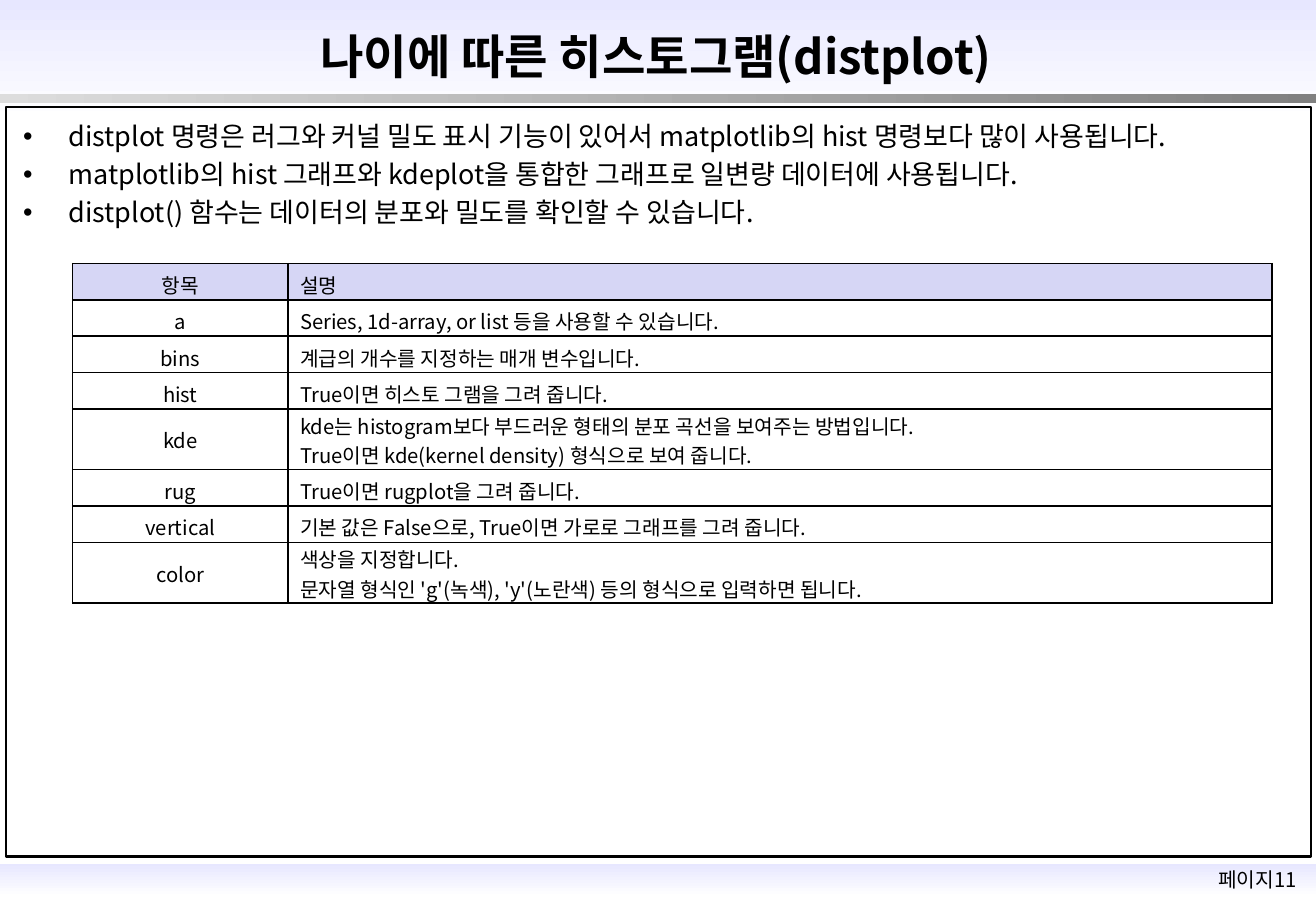
from lxml import etree
from pptx import Presentation
from pptx.dml.color import RGBColor
from pptx.enum import shapes, text
from pptx.oxml.ns import qn
from pptx.util import Cm, Pt

FONT = "Noto Sans CJK KR"
BLACK = RGBColor(0x00, 0x00, 0x00)
WHITE = RGBColor(0xFF, 0xFF, 0xFF)
LAVENDER = RGBColor(0xE7, 0xE7, 0xFF)
HEADER = RGBColor(0xD6, 0xD6, 0xF5)
DARK_GRAY = RGBColor(0x80, 0x80, 0x80)
LIGHT_GRAY = RGBColor(0xDD, 0xDD, 0xDD)

WIDTH, HEIGHT = 27.51, 19.05
ROW, LINE = 0.76, 0.51
BULLETS = [
    "distplot 명령은 러그와 커널 밀도 표시 기능이 있어서 matplotlib의 hist 명령보다 많이 사용됩니다.",
    "matplotlib의 hist 그래프와 kdeplot을 통합한 그래프로 일변량 데이터에 사용됩니다.",
    "distplot() 함수는 데이터의 분포와 밀도를 확인할 수 있습니다.",
]
PARAMETERS = [
    ("항목", "설명"),
    ("a", "Series, 1d-array, or list 등을 사용할 수 있습니다."),
    ("bins", "계급의 개수를 지정하는 매개 변수입니다."),
    ("hist", "True이면 히스토 그램을 그려 줍니다."),
    ("kde", "kde는 histogram보다 부드러운 형태의 분포 곡선을 보여주는 방법입니다.\n"
            "True이면 kde(kernel density) 형식으로 보여 줍니다."),
    ("rug", "True이면 rugplot을 그려 줍니다."),
    ("vertical", "기본 값은 False으로, True이면 가로로 그래프를 그려 줍니다."),
    ("color", "색상을 지정합니다.\n"
              "문자열 형식인 'g'(녹색), 'y'(노란색) 등의 형식으로 입력하면 됩니다."),
]


def style(p, size, align, bold=False):
    """Set the alignment and font of a paragraph."""
    p.alignment = align
    p.space_before = Pt(0)
    p.font.name, p.font.size, p.font.bold = FONT, Pt(size), bold
    p.font.color.rgb = BLACK
    props = p._p.get_or_add_pPr().find(qn("a:defRPr"))
    etree.SubElement(props, qn("a:ea"), typeface=FONT)


def place(sp, left, top, width, height):
    """Move a shape to a box in centimetres."""
    sp.left, sp.top, sp.width, sp.height = map(Cm, (left, top, width, height))


def add_box(slide, left, top, width, height):
    """Add a rectangle without shadow, fill or line."""
    sp = slide.shapes.add_shape(
        shapes.MSO_SHAPE.RECTANGLE, *map(Cm, (left, top, width, height)))
    sp.shadow.inherit = False
    sp.fill.background()
    sp.line.fill.background()
    return sp


def add_band(slide, box, start, end, angle):
    """Add a rectangle with a two-colour gradient."""
    fill = add_box(slide, *box).fill
    fill.gradient()
    fill.gradient_angle = angle
    for stop, color in zip(fill.gradient_stops, (start, end)):
        stop.color.rgb = color


def build_header(slide, left, top, width, height):
    """Build the title band with its rule and title."""
    add_band(slide, (left, top, width, height), LAVENDER, WHITE, 270)
    add_band(slide, (left, top + 1.96, width, 0.2), LIGHT_GRAY, DARK_GRAY, 0)
    title = slide.shapes.title
    slide.shapes._spTree.append(title._element)
    place(title, left + 3.53, top + 0.43, width - 7.14, 1.47)
    tf = title.text_frame
    tf.text = "나이에 따른 히스토그램(distplot)"
    tf.auto_size = text.MSO_AUTO_SIZE.NONE
    tf.vertical_anchor = text.MSO_ANCHOR.MIDDLE
    style(tf.paragraphs[0], 28, text.PP_ALIGN.CENTER, True)


def build_body(slide, left, top, width, height):
    """Build the framed area with its bullet list."""
    frame = add_box(slide, left, top, width, height)
    frame.line.color.rgb = BLACK
    frame.line.width = Pt(1.5)
    body = slide.placeholders[1]
    slide.shapes._spTree.append(body._element)
    place(body, left + 0.1, top + 0.1, width, 2.59)
    tf = body.text_frame
    tf.text = "\n".join(BULLETS)
    tf.auto_size = text.MSO_AUTO_SIZE.NONE
    tf.vertical_anchor = text.MSO_ANCHOR.TOP
    tf.margin_top = Cm(0.05)
    for p in tf.paragraphs:
        props = p._p.get_or_add_pPr()
        props.set("marL", str(Cm(0.95)))
        props.set("indent", str(-Cm(0.95)))
        etree.SubElement(props, qn("a:buChar"), char="•")
        style(p, 16, text.PP_ALIGN.LEFT)
        p.line_spacing = Pt(22.5)


def add_borders(cell):
    """Draw a thin black line on every side of a cell."""
    props = cell._tc.get_or_add_tcPr()
    for side in "LRTB":
        line = etree.SubElement(props, qn(f"a:ln{side}"), w=str(Pt(1)))
        fill = etree.SubElement(line, qn("a:solidFill"))
        etree.SubElement(fill, qn("a:srgbClr"), val=str(BLACK))


def build_table(slide, left, top, width, height):
    """Build the parameter table, with taller rows for two-line text."""
    table = slide.shapes.add_table(
        len(PARAMETERS), 2, *map(Cm, (left, top, width, height))).table
    table.first_row = table.horz_banding = False
    table.columns[0].width, table.columns[1].width = Cm(4.5), Cm(width - 4.5)
    aligns = (text.PP_ALIGN.CENTER, text.PP_ALIGN.JUSTIFY)
    for i, (row, values) in enumerate(zip(table.rows, PARAMETERS)):
        extra = values[1].count("\n")
        row.height = Cm(ROW + LINE * extra)
        for cell, value, align in zip(row.cells, values, aligns):
            cell.text = value
            cell.vertical_anchor = text.MSO_ANCHOR.MIDDLE
            cell.margin_top = Cm(0.04 if extra else 0.12)
            cell.margin_bottom = 0
            add_borders(cell)
            if i == 0:
                cell.fill.solid()
                cell.fill.fore_color.rgb = HEADER
            else:
                cell.fill.background()
            for p in cell.text_frame.paragraphs:
                style(p, 12, align)


def build_footer(slide, left, top, width, height):
    """Build the bottom band with the page number."""
    add_band(slide, (left, top, width, height), LAVENDER, WHITE, 270)
    sp = slide.shapes.add_textbox(
        *map(Cm, (left + width - 2.57, top - 0.05, 2.69, 0.76)))
    tf = sp.text_frame
    tf.word_wrap = True
    tf.text = "페이지11"
    style(tf.paragraphs[0], 12, text.PP_ALIGN.CENTER)


def main():
    """Build and save the slide."""
    prs = Presentation()
    prs.slide_width, prs.slide_height = Cm(WIDTH), Cm(HEIGHT)
    slide = prs.slides.add_slide(prs.slide_layouts[1])
    build_header(slide, 0, 0, WIDTH, 2.54)
    build_footer(slide, 0, 18.06, WIDTH, 0.69)
    build_body(slide, 0.13, 2.24, 27.28, 15.67)
    build_table(slide, 1.52, 5.51, 25.07, 7.1)
    prs.save("out.pptx")


if __name__ == "__main__":
    main()
